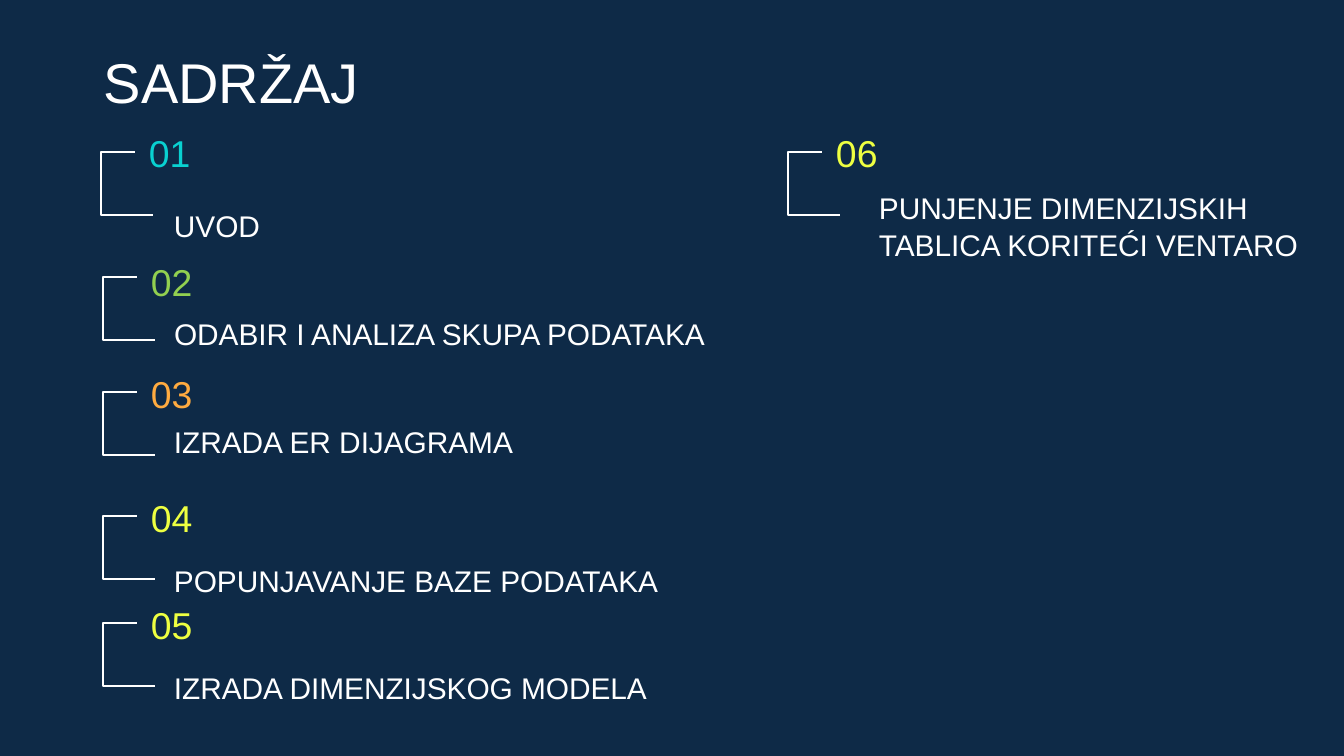
from pptx import Presentation
from pptx.dml.color import RGBColor
from pptx.enum.text import MSO_ANCHOR
from pptx.util import Pt

# Content
COLORS = {
    "navy": "0E2A47", "white": "FFFFFF", "cyan": "09D1D1",
    "green": "92D050", "orange": "FFAB40", "yellow": "EEFF41",
}
TITLE = "SADRŽAJ"
# number, colour, bracket left and top, number top, label, label box, space under label
ITEMS = [
    ("01", "cyan", 101, 152, 124, "UVOD", (161, 199, 316), 57),
    ("02", "green", 103, 277, 253, "ODABIR I ANALIZA SKUPA PODATAKA", (161, 280, 591), 13),
    ("03", "orange", 103, 392, 364, "IZRADA ER DIJAGRAMA", (161, 388, 648), 13),
    ("04", "yellow", 103, 516, 488, "POPUNJAVANJE BAZE PODATAKA", (161, 554, 521), 57),
    ("05", "yellow", 103, 623, 595, "IZRADA DIMENZIJSKOG MODELA", (161, 661, 521), 57),
    ("06", "yellow", 788, 152, 124, "PUNJENJE DIMENZIJSKIH TABLICA KORITEĆI VENTARO",
     (866, 235, 521), 57),
]

# Sizes in px
PX = 914400 / 134.4
PAGE_WIDTH, PAGE_HEIGHT = 1344, 756
MARGIN = 13
LABEL_HEIGHT = 85
NUMBER_WIDTH, NUMBER_HEIGHT, NUMBER_OFFSET = 258, 56, 35
BRACKET_HEIGHT, TOP_ARM, BOTTOM_ARM = 63, 34, 52


def emu(px):
    return round(px * PX)


def rgb(name):
    return RGBColor.from_string(COLORS[name])


def add_text(page, text, area, size, color, anchor, bottom=MARGIN):
    box = page.shapes.add_textbox(*map(emu, area))
    frame_format = {
        "word_wrap": True, "vertical_anchor": anchor,
        "margin_left": emu(MARGIN), "margin_right": emu(MARGIN),
        "margin_top": emu(MARGIN), "margin_bottom": emu(bottom),
    }
    for name, value in frame_format.items():
        setattr(box.text_frame, name, value)
    para = box.text_frame.paragraphs[0]
    para.line_spacing = 1.05
    span = para.add_run()
    span.text = text
    for name, value in {"name": "Arial", "size": Pt(size)}.items():
        setattr(span.font, name, value)
    span.font.color.rgb = rgb(color)


def add_bracket(page, left, top):
    bottom = top + BRACKET_HEIGHT
    outline = page.shapes.build_freeform(left + TOP_ARM, top, scale=PX)
    outline.add_line_segments(
        [(left, top), (left, bottom), (left + BOTTOM_ARM, bottom)], close=False)
    bracket = outline.convert_to_shape()
    bracket.shadow.inherit = False
    bracket.fill.background()
    bracket.line.color.rgb = rgb("white")
    bracket.line.width = Pt(0.75)


deck = Presentation()
deck.slide_width, deck.slide_height = emu(PAGE_WIDTH), emu(PAGE_HEIGHT)
page = deck.slides.add_slide(deck.slide_layouts[6])
page.background.fill.solid()
page.background.fill.fore_color.rgb = rgb("navy")

# Title
add_text(page, TITLE, (91, 43, 672, LABEL_HEIGHT), 30, "white", MSO_ANCHOR.BOTTOM)

# Numbered contents
for number, color, left, top, number_top, label, (x, y, width), space in ITEMS:
    add_text(page, label, (x, y, width, LABEL_HEIGHT), 16, "white",
             MSO_ANCHOR.BOTTOM, space)
    add_text(page, number,
             (left + NUMBER_OFFSET, number_top, NUMBER_WIDTH, NUMBER_HEIGHT),
             20, color, MSO_ANCHOR.MIDDLE)
    add_bracket(page, left, top)

deck.save("out.pptx")
